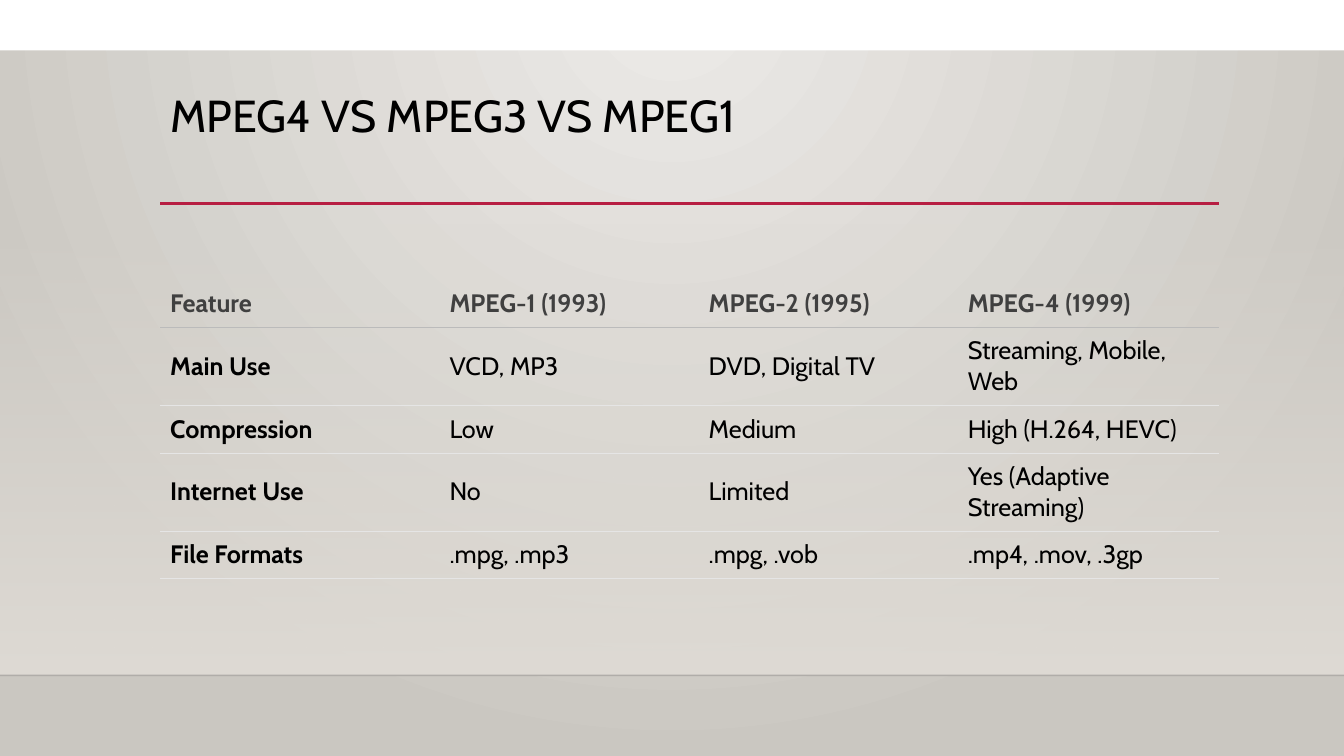
import pptx
import pptx.dml.color
import pptx.enum.shapes
import pptx.enum.text
import pptx.oxml
import pptx.oxml.ns
import pptx.util
from pptx.util import Cm

COLORS = {
    "black": "000000", "gray": "404040", "white": "FFFFFF", "red": "B71E42",
    "glow": "ECEAE7", "edge": "CAC7C1", "wall": "DFDBD5", "floor": "000001",
    "header_rule": "BBBBBB", "row_rule": "E5E5E5",
}
FONT = "Cabin"
WIDTH, HEIGHT = 33.87, 19.05
LEFT, TEXT_WIDTH = 4.04, 26.68
NS = pptx.oxml.ns.nsdecls("a")
NO_STYLE = "{2D5ABB26-0587-4C30-8999-92F81FD0307C}"
ROWS = [
    ["Feature", "MPEG-1 (1993)", "MPEG-2 (1995)", "MPEG-4 (1999)"],
    ["Main Use", "VCD, MP3", "DVD, Digital TV", "Streaming, Mobile, Web"],
    ["Compression", "Low", "Medium", "High (H.264, HEVC)"],
    ["Internet Use", "No", "Limited", "Yes (Adaptive Streaming)"],
    ["File Formats", ".mpg, .mp3", ".mpg, .vob", ".mp4, .mov, .3gp"],
]


def rgb(name):
    return pptx.dml.color.RGBColor.from_string(COLORS[name])


def write_text(tf, text, size=18, color="black", bold=False, spacing=1.0):
    p = tf.paragraphs[0]
    p.alignment = pptx.enum.text.PP_ALIGN.LEFT
    p.line_spacing = spacing
    r = p.add_run()
    r.text = text
    r.font.name = FONT
    r.font.size = pptx.util.Pt(size)
    r.font.bold = bold
    r.font.color.rgb = rgb(color)


def set_gradient(fill, element, stops, direction):
    """Fill with (position, color, opacity) stops; direction is the XML after them."""
    fill.gradient()
    grad = element.find(".//" + pptx.oxml.ns.qn("a:gradFill"))
    stop_xml = "".join(
        f'<a:gs pos="{pos * 1000}"><a:srgbClr val="{COLORS[color]}">'
        f'<a:alpha val="{opacity * 1000}"/></a:srgbClr></a:gs>'
        for pos, color, opacity in stops)
    grad.getparent().replace(grad, pptx.oxml.parse_xml(
        f'<a:gradFill {NS} rotWithShape="1"><a:gsLst>{stop_xml}</a:gsLst>'
        f'{direction}</a:gradFill>'))


class SlideBuilder:
    def __init__(self, prs):
        self.s = prs.slides.add_slide(prs.slide_layouts[5])

    def background(self):
        set_gradient(
            self.s.background.fill, self.s.element,
            [(0, "glow", 100), (100, "edge", 100)],
            '<a:path path="circle">'
            '<a:fillToRect l="43000" t="0" r="43000" b="100000"/></a:path>')

    def rect(self, top, height):
        sp = self.s.shapes.add_shape(
            pptx.enum.shapes.MSO_SHAPE.RECTANGLE, 0, Cm(top), Cm(WIDTH), Cm(height))
        sp.shadow.inherit = False
        sp.line.fill.background()
        return sp

    def wall(self, top, height):
        sp = self.rect(top, height)
        set_gradient(sp.fill, sp.element, [(0, "wall", 0), (100, "wall", 100)],
                     '<a:lin ang="5400000" scaled="0"/>')

    def strip(self, top, height):
        sp = self.rect(top, height)
        sp.fill.solid()
        sp.fill.fore_color.rgb = rgb("white")

    def rule(self, left, y, width, color, weight, opacity=100):
        line = self.s.shapes.add_connector(
            pptx.enum.shapes.MSO_CONNECTOR.STRAIGHT,
            Cm(left), Cm(y), Cm(left + width), Cm(y))
        line.line.color.rgb = rgb(color)
        line.line.width = pptx.util.Pt(weight)
        clr = line.element.spPr.find(".//" + pptx.oxml.ns.qn("a:srgbClr"))
        clr.append(pptx.oxml.parse_xml(f'<a:alpha {NS} val="{opacity * 1000}"/>'))
        line.element.spPr.append(pptx.oxml.parse_xml(f"<a:effectLst {NS}/>"))

    def title(self, text):
        sp = self.s.shapes.title
        sp.left, sp.top, sp.width, sp.height = Cm(LEFT), Cm(2.24), Cm(TEXT_WIDTH), Cm(2.92)
        tf = sp.text_frame
        tf.word_wrap = True
        tf.auto_size = pptx.enum.text.MSO_AUTO_SIZE.NONE
        tf.vertical_anchor = pptx.enum.text.MSO_ANCHOR.TOP
        write_text(tf, text, size=32, spacing=0.9)

    def cell(self, cell, text, is_header, is_label):
        cell.margin_left = Cm(0.25 if is_label else 0.2)
        cell.margin_right = cell.margin_top = cell.margin_bottom = Cm(0.2)
        cell.vertical_anchor = pptx.enum.text.MSO_ANCHOR.MIDDLE
        cell.fill.background()
        write_text(cell.text_frame, text, color="gray" if is_header else "black",
                   bold=is_header or is_label)
        color = COLORS["header_rule" if is_header else "row_rule"]
        cell._tc.get_or_add_tcPr().insert(0, pptx.oxml.parse_xml(
            f'<a:lnB {NS} w="6096"><a:solidFill><a:srgbClr val="{color}"/>'
            '</a:solidFill></a:lnB>'))

    def table(self, rows, top, col_widths, row_heights):
        frame = self.s.shapes.add_table(
            len(rows), len(col_widths), Cm(LEFT), Cm(top),
            Cm(sum(col_widths)), Cm(sum(row_heights)))
        frame.element.find(".//" + pptx.oxml.ns.qn("a:tableStyleId")).text = NO_STYLE
        table = frame.table
        table.horz_banding = False
        for col, width in zip(table.columns, col_widths):
            col.width = Cm(width)
        for i, (row, height) in enumerate(zip(rows, row_heights)):
            table.rows[i].height = Cm(height)
            for j, text in enumerate(row):
                self.cell(table.cell(i, j), text, i == 0, j == 0)


def main():
    prs = pptx.Presentation()
    prs.slide_width, prs.slide_height = Cm(WIDTH), Cm(HEIGHT)
    slide = SlideBuilder(prs)
    slide.background()
    slide.wall(5.61, 11.41)
    slide.rule(0, 17.02, WIDTH, "floor", 1, opacity=20)
    slide.rule(LEFT, 5.13, TEXT_WIDTH, "red", 2.5)
    slide.title("MPEG4 VS MPEG3 VS MPEG1")
    slide.table(ROWS, 7.04, [7.09, 6.53, 6.53, 6.53], [1.2, 1.97, 1.2, 1.97, 1.2])
    slide.strip(0, 1.27)
    prs.save("out.pptx")


if __name__ == "__main__":
    main()
